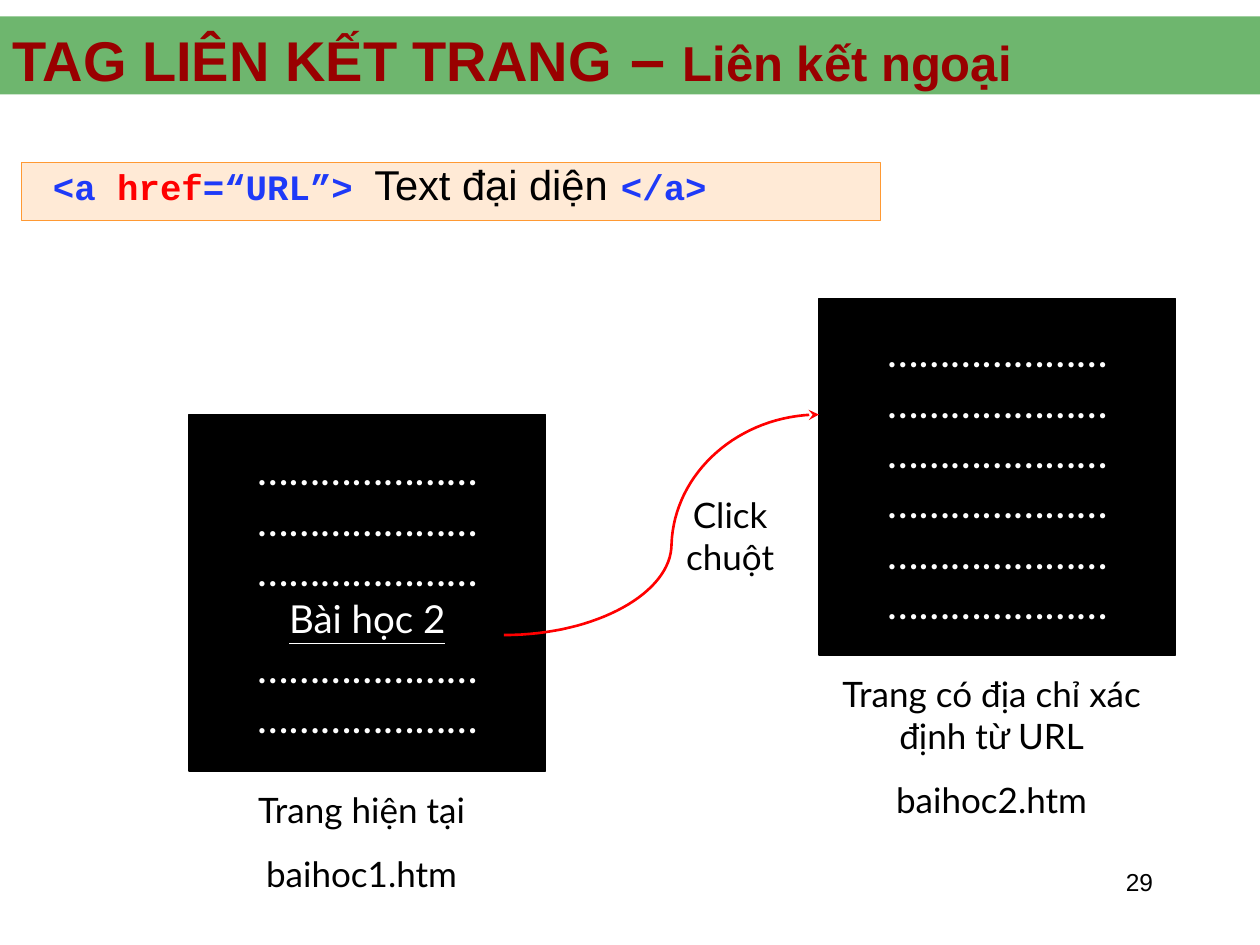
from lxml import etree
from pptx import Presentation
from pptx.dml.color import RGBColor
from pptx.enum import shapes, text
from pptx.oxml import ns
from pptx.util import Inches, Pt

COLORS = {
    "bar": "008000", "title": "990000", "black": "000000", "white": "FFFFFF",
    "red": "FF0000", "blue": "1E3AF8", "code_fill": "FFCC99", "code_line": "FF9933",
}
DOTS = "…" * 7
PAGE_SIZE = 2.83


def color(name):
    return RGBColor.from_string(COLORS[name])


def set_font(font, name, size, color_name, bold=False):
    font.name, font.size, font.bold = name, Pt(size), bold
    font.color.rgb = color(color_name)


def add_rectangle(slide, left, top, width, height, fill, line=None, opacity=None):
    shape = slide.shapes.add_shape(
        shapes.MSO_SHAPE.RECTANGLE, Inches(left), Inches(top), Inches(width), Inches(height))
    shape.shadow.inherit = False
    shape.fill.solid()
    shape.fill.fore_color.rgb = color(fill)
    if opacity is not None:
        fill_color = shape.fill._xPr.find(".//" + ns.qn("a:srgbClr"))
        etree.SubElement(fill_color, ns.qn("a:alpha"), val=str(opacity * 1000))
    if line:
        shape.line.color.rgb = color(line)
        shape.line.width = Pt(0.75)
    else:
        shape.line.fill.background()
    return shape


def write_lines(frame, lines, name, size, color_name, align, gap=0):
    for index, line in enumerate(lines):
        paragraph = frame.paragraphs[0] if index == 0 else frame.add_paragraph()
        paragraph.text = line
        paragraph.alignment = align
        if index and gap:
            paragraph.space_before = Pt(gap)
        set_font(paragraph.font, name, size, color_name)


def add_label(slide, left, top, width, height, lines, name="Lato", size=20,
              align=text.PP_ALIGN.CENTER):
    box = slide.shapes.add_textbox(Inches(left), Inches(top), Inches(width), Inches(height))
    box.text_frame.word_wrap = True
    write_lines(box.text_frame, lines, name, size, "black", align, gap=12.5)


def add_page(slide, left, top, lines, caption, caption_height):
    """A black web page with its caption underneath."""
    page = add_rectangle(slide, left, top, PAGE_SIZE, PAGE_SIZE, "black", line="black")
    frame = page.text_frame
    frame.word_wrap = False
    frame.vertical_anchor = text.MSO_ANCHOR.MIDDLE
    write_lines(frame, lines, "Lato", 24, "white", text.PP_ALIGN.CENTER)
    for paragraph in frame.paragraphs:
        if paragraph.text != DOTS:
            paragraph.font.size = Pt(22)
            paragraph.font.underline = True
    add_label(slide, left + 0.08, top + PAGE_SIZE + 0.09, 2.58, caption_height, caption)


def bezier_points(start, control_1, control_2, end, steps=32):
    for step in range(1, steps + 1):
        t = step / steps
        weights = ((1 - t) ** 3, 3 * t * (1 - t) ** 2, 3 * t * t * (1 - t), t ** 3)
        corners = (start, control_1, control_2, end)
        yield tuple(Inches(sum(w * corner[axis] for w, corner in zip(weights, corners)))
                    for axis in (0, 1))


def add_curved_arrow(slide):
    start, middle, end = (4, 5.04), (5.33, 4.32), (6.5, 3.29)
    points = [*bezier_points(start, (4.74, 5.04), (5.33, 4.7), middle),
              *bezier_points(middle, (5.35, 3.75), (5.87, 3.29), end)]
    builder = slide.shapes.build_freeform(Inches(start[0]), Inches(start[1]))
    builder.add_line_segments(points, close=False)
    arrow = builder.convert_to_shape()
    arrow.shadow.inherit = False
    arrow.fill.background()
    arrow.line.color.rgb = color("red")
    arrow.line.width = Pt(1.5)
    etree.SubElement(arrow.line._get_or_add_ln(), ns.qn("a:tailEnd"), type="stealth")


def add_title(slide):
    title = slide.shapes.title
    title.left, title.top, title.width, title.height = (
        Inches(value) for value in (0, 0.24, 10, 0.42))
    bar = add_rectangle(slide, 0, 0.13, 10, 0.62, "bar", opacity=57)
    title._element.addprevious(bar._element)
    frame = title.text_frame
    frame.auto_size = text.MSO_AUTO_SIZE.NONE
    frame.vertical_anchor = text.MSO_ANCHOR.MIDDLE
    paragraph = frame.paragraphs[0]
    paragraph.alignment = text.PP_ALIGN.LEFT
    for words, size in (("TAG LIÊN KẾT TRANG", 32), (" – ", 36), ("Liên kết ngoại", 28)):
        run = paragraph.add_run()
        run.text = words
        run.font.size = Pt(size)
    set_font(paragraph.font, "Arial", 32, "title", bold=True)


def add_code_line(slide):
    shape = add_rectangle(slide, 0.17, 1.29, 6.82, 0.46, "code_fill", "code_line", opacity=40)
    frame = shape.text_frame
    frame.margin_left = 0
    frame.vertical_anchor = text.MSO_ANCHOR.TOP
    paragraph = frame.paragraphs[0]
    paragraph.alignment = text.PP_ALIGN.LEFT
    paragraph.line_spacing = 0.7
    properties = paragraph._p.get_or_add_pPr()
    properties.set("marL", str(Inches(0.5)))
    properties.set("indent", str(Inches(-0.25)))
    code, plain = ("Courier New", 20.4), ("Arial", 23.8)
    for words, (name, size), color_name in (
            ("<a ", code, "blue"), ("href", code, "red"), ("=“URL”> ", code, "blue"),
            ("Text đại diện", plain, "black"), (" ", ("Arial", 27.2), "black"),
            ("</a>", code, "blue")):
        run = paragraph.add_run()
        run.text = words
        set_font(run.font, name, size, color_name, bold=name == "Courier New")


def main():
    presentation = Presentation()
    presentation.slide_width, presentation.slide_height = Inches(10), Inches(7.5)
    slide = presentation.slides.add_slide(presentation.slide_layouts[5])

    # Heading and tag syntax
    add_title(slide)
    add_code_line(slide)

    # Current page and linked page
    add_page(slide, 1.5, 3.29, [DOTS] * 3 + ["Bài học 2"] + [DOTS] * 2,
             ["Trang hiện tại", "baihoc1.htm"], 0.94)
    add_page(slide, 6.5, 2.37, [DOTS] * 6,
             ["Trang có địa chỉ xác định từ URL", "baihoc2.htm"], 1.28)

    # Click from one page to the other
    add_curved_arrow(slide)
    add_label(slide, 5.17, 3.87, 1.25, 0.77, ["Click chuột"])

    # Slide number
    add_label(slide, 7.17, 6.83, 2.08, 0.5, ["29"], "Arial", 14, text.PP_ALIGN.RIGHT)

    presentation.save("out.pptx")


if __name__ == "__main__":
    main()
